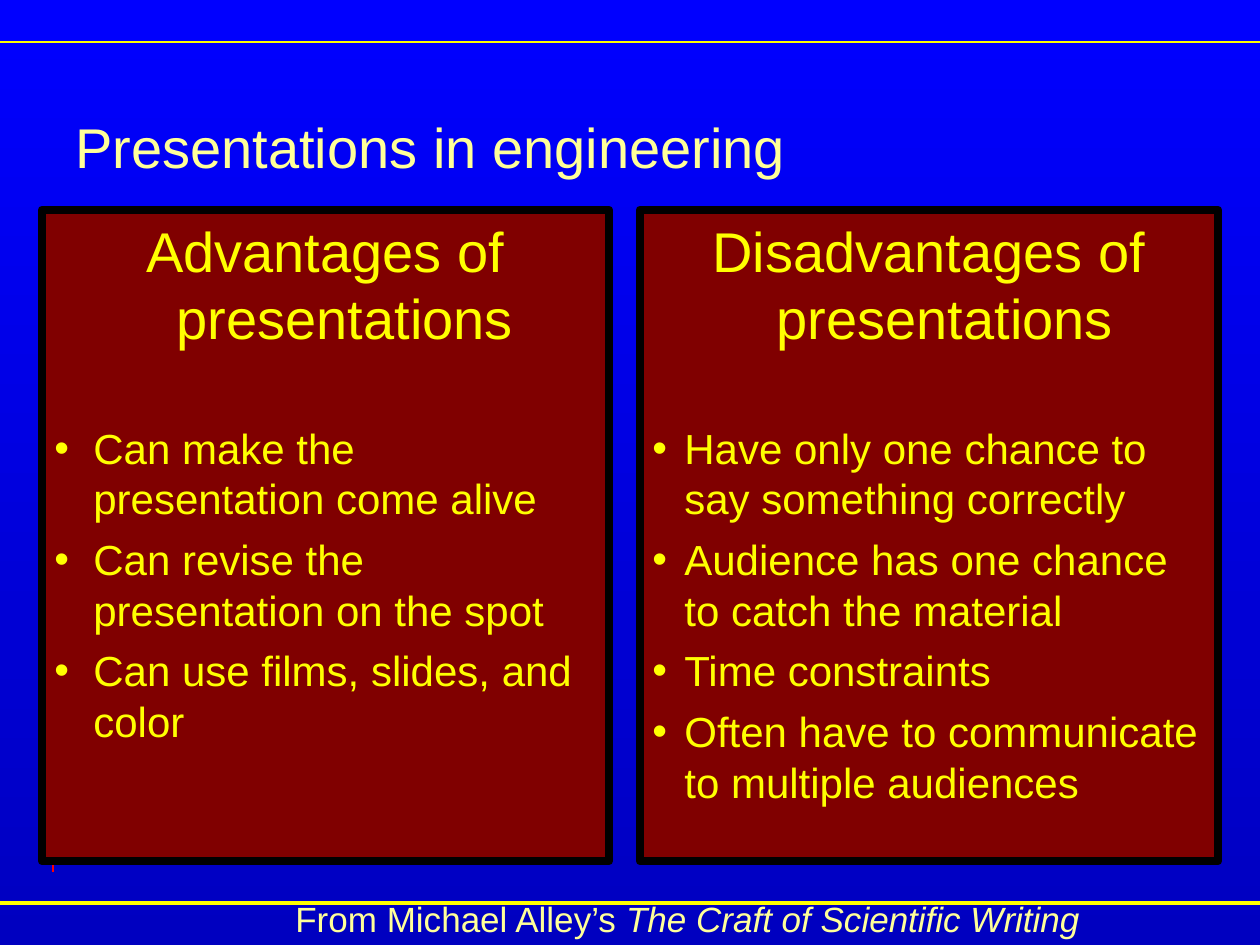
from pptx import Presentation
from pptx.dml.color import RGBColor
from pptx.enum.shapes import MSO_CONNECTOR, MSO_SHAPE
from pptx.enum.text import MSO_ANCHOR, PP_ALIGN
from pptx.oxml.ns import qn
from pptx.util import Pt
from lxml import etree

STRAIGHT = MSO_CONNECTOR.STRAIGHT
RECTANGLE = MSO_SHAPE.RECTANGLE
TOP, MIDDLE = MSO_ANCHOR.TOP, MSO_ANCHOR.MIDDLE
LEFT, CENTER = PP_ALIGN.LEFT, PP_ALIGN.CENTER

EMU_PER_PX = 914400 / 126
FONT = "Arial"
COLORS = {
    "sky": "0000FF", "deep": "0000C0", "red": "FF0000", "yellow": "FFFF00",
    "cream": "FFFF99", "maroon": "800000", "black": "000000",
}

# start x, start y, end x, end y, colour, width in points
RULES = [
    (53, 399, 53, 872, "red", 0.75),
    (0, 903, 1260, 903, "yellow", 2),
    (1260, 42, 0, 42, "yellow", 0.75),
]

# left, width, hanging indent, heading, points
PANELS = [
    (42, 567, 39, "Advantages of presentations", [
        "Can make the presentation come alive",
        "Can revise the presentation on the spot",
        "Can use films, slides, and color",
    ]),
    (640, 578, 32, "Disadvantages of presentations", [
        "Have only one chance to say something correctly",
        "Audience has one chance to catch the material",
        "Time constraints",
        "Often have to communicate to multiple audiences",
    ]),
]
PANEL_TOP, PANEL_HEIGHT = 210, 651


def px(length):
    return round(length * EMU_PER_PX)


def rgb(name):
    return RGBColor.from_string(COLORS[name])


def paint_background(slide):
    fill = slide.background.fill
    fill.gradient()
    fill.gradient_angle = 270
    for stop, name, position in zip(fill.gradient_stops, ("sky", "deep"), (0, 1)):
        stop.color.rgb = rgb(name)
        stop.position = position


def add_rule(slide, x1, y1, x2, y2, color, width):
    rule = slide.shapes.add_connector(STRAIGHT, px(x1), px(y1), px(x2), px(y2))
    rule.line.color.rgb = rgb(color)
    rule.line.width = Pt(width)
    etree.SubElement(rule._element.spPr, qn("a:effectLst"))


def set_frame(frame, anchor=TOP):
    layout = {
        "word_wrap": True, "vertical_anchor": anchor,
        "margin_left": Pt(7.2), "margin_right": Pt(7.2),
        "margin_top": Pt(3.6), "margin_bottom": Pt(3.6),
    }
    for name, value in layout.items():
        setattr(frame, name, value)


def add_run(paragraph, text, size, color, italic=False):
    run = paragraph.add_run()
    run.text = text
    for name, value in {"name": FONT, "size": Pt(size), "italic": italic}.items():
        setattr(run.font, name, value)
    run.font.color.rgb = rgb(color)


def set_paragraph(paragraph, margin, indent, before, align=LEFT, bullet=False):
    paragraph.alignment = align
    paragraph.space_before = Pt(before)
    properties = paragraph._p.get_or_add_pPr()
    properties.set("marL", str(px(margin)))
    properties.set("indent", str(px(indent)))
    if bullet:
        bullet_color = etree.SubElement(properties, qn("a:buClr"))
        etree.SubElement(bullet_color, qn("a:srgbClr"), val=COLORS["yellow"])
        etree.SubElement(properties, qn("a:buFont"), typeface=FONT)
        etree.SubElement(properties, qn("a:buChar"), char="•")
    else:
        etree.SubElement(properties, qn("a:buNone"))


def add_text(slide, left, top, width, height, runs, size, anchor=TOP,
             margin=0, indent=0):
    box = slide.shapes.add_textbox(px(left), px(top), px(width), px(height))
    set_frame(box.text_frame, anchor)
    paragraph = box.text_frame.paragraphs[0]
    set_paragraph(paragraph, margin, indent, 0)
    for text, italic in runs:
        add_run(paragraph, text, size, "cream", italic)


def add_panel(slide, left, width, hang, heading, points):
    panel = slide.shapes.add_shape(
        RECTANGLE, px(left), px(PANEL_TOP), px(width), px(PANEL_HEIGHT))
    panel.shadow.inherit = False
    panel.fill.solid()
    panel.fill.fore_color.rgb = rgb("maroon")
    panel.line.color.rgb = rgb("black")
    panel.line.width = Pt(5)

    frame = panel.text_frame
    set_frame(frame)
    title = frame.paragraphs[0]
    set_paragraph(title, hang, -hang, 8, CENTER)
    add_run(title, heading, 32, "yellow")
    for number, point in enumerate(points):
        # The first point stands clear of the heading
        item = frame.add_paragraph()
        set_paragraph(item, hang, -hang, 6 if number else 41, bullet=True)
        add_run(item, point, 24, "yellow")


def main():
    presentation = Presentation()
    presentation.slide_width, presentation.slide_height = px(1260), px(945)
    slide = presentation.slides.add_slide(presentation.slide_layouts[6])

    # Background and rules
    paint_background(slide)
    for rule in RULES:
        add_rule(slide, *rule)

    # Title
    add_text(slide, 63, 73, 1134, 147,
             [("Presentations in engineering", False)], 32, MIDDLE)

    # Comparison panels
    for panel in PANELS:
        add_panel(slide, *panel)

    # Source line
    add_text(slide, 220, 891, 945, 55,
             [("From Michael Alley’s ", False),
              ("The Craft of Scientific Writing", True)],
             20, margin=102, indent=-39)

    presentation.save("out.pptx")


if __name__ == "__main__":
    main()
